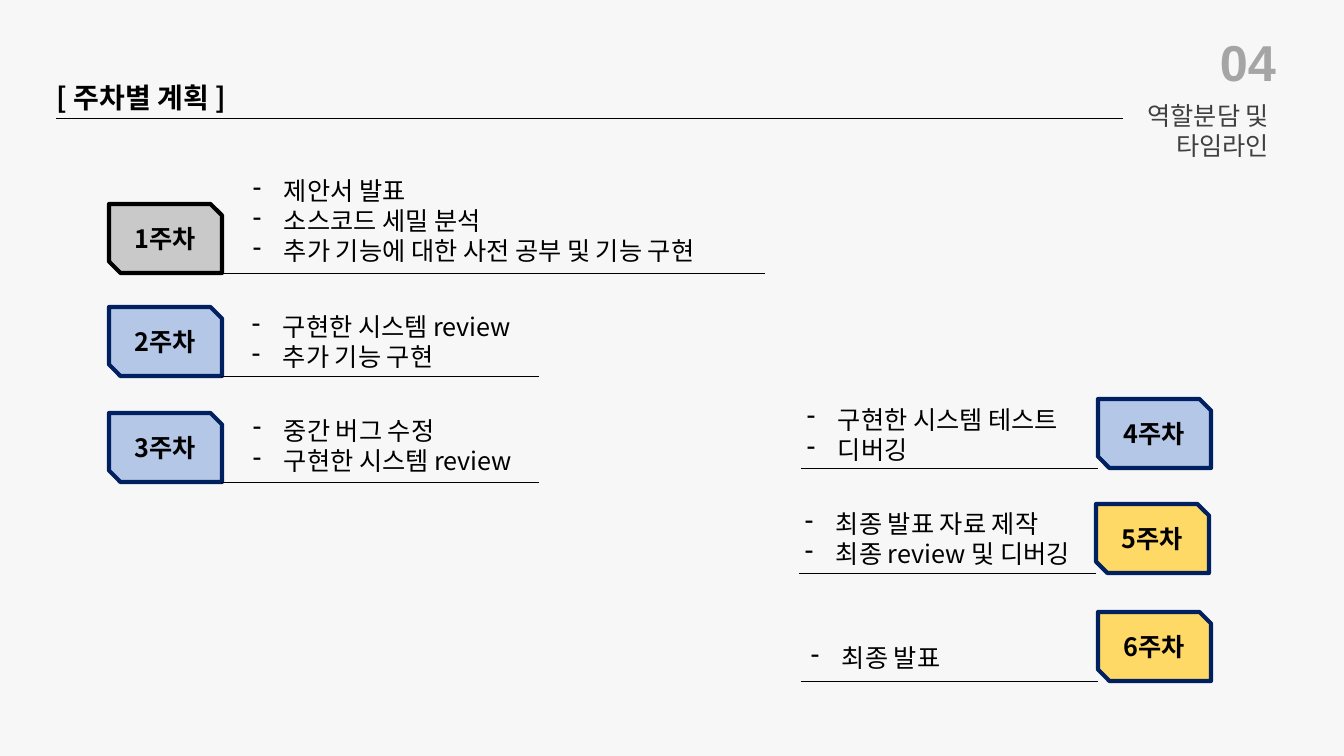
"""Build the weekly plan slide with six week boxes."""
import pptx
import pptx.util
import pptx.dml.color
import pptx.enum.shapes
import pptx.enum.text
import pptx.oxml
import pptx.oxml.ns
import lxml.etree

PX = 914400 / 100.8
KOREAN = "Noto Sans CJK KR"
ALIGN = pptx.enum.text.PP_ALIGN
qn = pptx.oxml.ns.qn


def color(code):
    return pptx.dml.color.RGBColor.from_string(code)


def write(frame, lines, size, code="000000", face=KOREAN, bold=False, align=ALIGN.LEFT, dash=False):
    frame.word_wrap = True
    for num, line in enumerate(lines):
        para = frame.add_paragraph() if num else frame.paragraphs[0]
        para.text = line
        para.alignment = align
        para.font.size = pptx.util.Pt(size)
        para.font.name = face
        para.font.bold = bold
        para.font.color.rgb = color(code)
        props = para._p.get_or_add_pPr()
        base = props.find(qn("a:defRPr"))
        lxml.etree.SubElement(base, qn("a:ea")).set("typeface", KOREAN)
        if dash:
            props.set("marL", str(round(31 * PX)))
            props.set("indent", str(round(-31 * PX)))
            mark = lxml.etree.Element(qn("a:buChar"))
            mark.set("char", "-")
            base.addprevious(mark)


deck = pptx.Presentation()
deck.slide_width = round(1344 * PX)
deck.slide_height = round(756 * PX)
slide = deck.slides.add_slide(deck.slide_layouts[6])
slide.background.fill.solid()
slide.background.fill.fore_color.rgb = color("F7F7F7")
shapes = slide.shapes

WIDE, HIGH = 113, 69
GRAY, BLUE, GOLD = ("C9C9C9", "000000"), ("B4C7E7", "002060"), ("FFD966", "002060")
weeks = [
    (109, 204, GRAY, (210, 765), (243, 170, 522),
     ["제안서 발표", "소스코드 세밀 분석", "추가 기능에 대한 사전 공부 및 기능 구현"]),
    (109, 307, BLUE, (221, 539), (242, 306, 296), ["구현한 시스템 review", "추가 기능 구현"]),
    (109, 413, BLUE, (221, 539), (243, 410, 296), ["중간 버그 수정", "구현한 시스템 review"]),
    (1098, 399, BLUE, (801, 1098), (797, 399, 299), ["구현한 시스템 테스트", "디버깅"]),
    (1096, 504, GOLD, (799, 1096), (795, 503, 305), ["최종 발표 자료 제작", "최종 review 및 디버깅"]),
    (1098, 612, GOLD, (801, 1098), (801, 637, 163), ["최종 발표"]),
]

rules = [(56, 1123, 118)]
for num, (left, top, (fill, edge), (start, end), (x, y, wide), tasks) in enumerate(weeks, 1):
    rules.append((start, end, top + HIGH))
    area = [round(v * PX) for v in (x, y, wide, 10 + 31 * len(tasks))]
    write(shapes.add_textbox(*area).text_frame, tasks, 18, dash=True)
    area = [round(v * PX) for v in (left, top, WIDE, HIGH)]
    box = shapes.add_shape(pptx.enum.shapes.MSO_SHAPE.SNIP_2_DIAG_RECTANGLE, *area)
    box.shadow.inherit = False
    box.fill.solid()
    box.fill.fore_color.rgb = color(fill)
    box.line.color.rgb = color(edge)
    box.line.width = pptx.util.Pt(3)
    box.text_frame.vertical_anchor = pptx.enum.text.MSO_ANCHOR.MIDDLE
    write(box.text_frame, [f"{num}주차"], 18, bold=True, align=ALIGN.CENTER)

for start, end, y in rules:
    ends = [round(v * PX) for v in (start, y, end, y)]
    rule = shapes.add_connector(pptx.enum.shapes.MSO_CONNECTOR.STRAIGHT, *ends)
    rule.line.color.rgb = color("000000")
    rule.line.width = pptx.util.Pt(0.5)
    lxml.etree.SubElement(rule._element.spPr, qn("a:effectLst"))

heads = [
    ((47, 76, 211, 44), ["[ 주차별 계획 ]"], 20, "000000", KOREAN, True, ALIGN.LEFT),
    ((1210, 26, 80, 72), ["04"], 36, "A5A5A5", "Arial", True, ALIGN.LEFT),
    ((1123, 95, 156, 72), ["역할분담 및", "타임라인"], 18, "404040", "Arial", False, ALIGN.RIGHT),
]
for area, *style in heads:
    write(shapes.add_textbox(*[round(v * PX) for v in area]).text_frame, *style)

deck.save("out.pptx")
